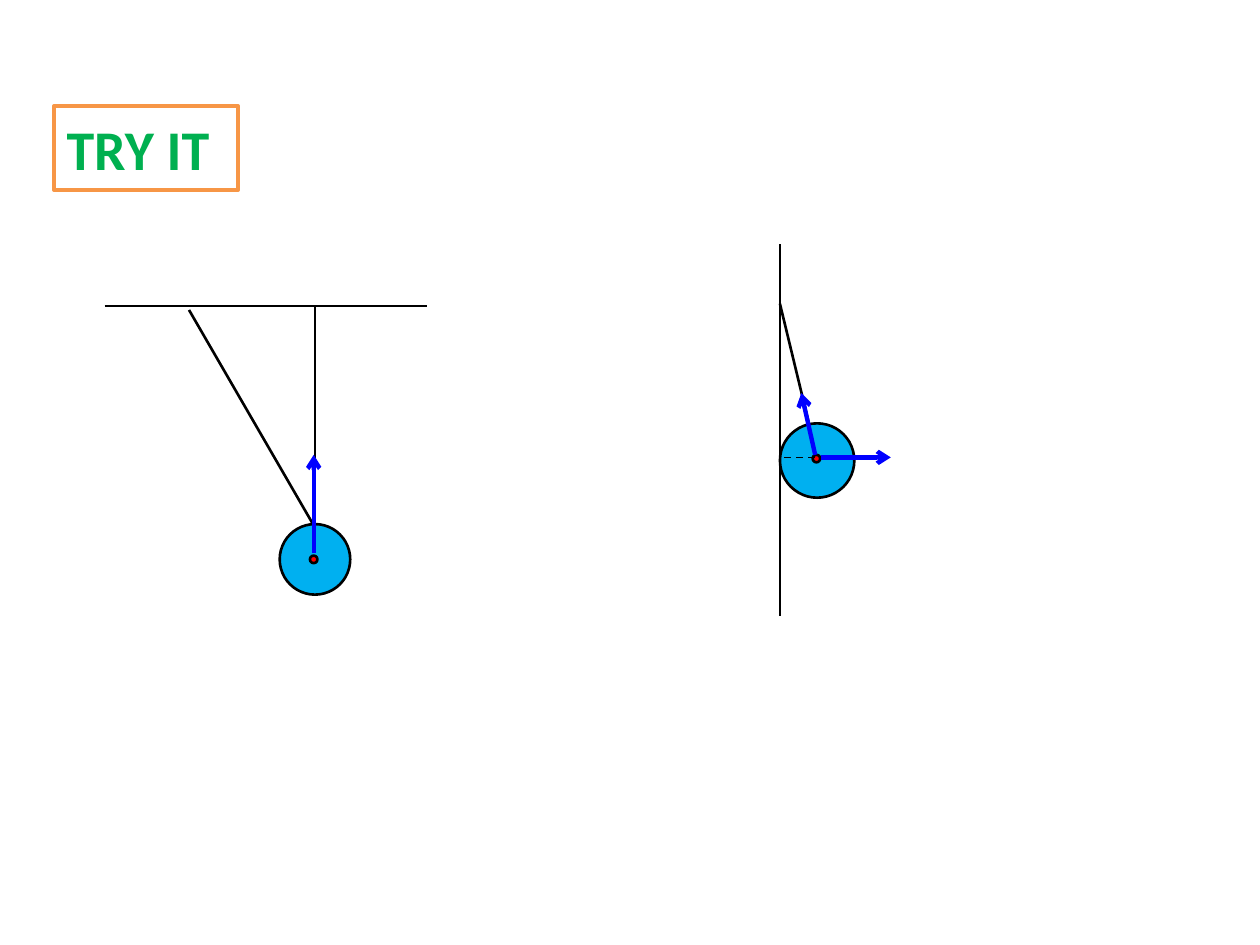
from lxml import etree
from pptx import Presentation
from pptx.dml.color import RGBColor
from pptx.enum.dml import MSO_LINE
from pptx.enum.shapes import MSO_CONNECTOR, MSO_SHAPE
from pptx.enum.text import MSO_ANCHOR, PP_ALIGN
from pptx.oxml.ns import qn
from pptx.util import Pt

PX = 9144  # EMU in one px, 100 px to the inch
STRAIGHT = MSO_CONNECTOR.STRAIGHT
OVAL, RECTANGLE = MSO_SHAPE.OVAL, MSO_SHAPE.RECTANGLE
DASH = MSO_LINE.DASH
LEFT, MIDDLE = PP_ALIGN.LEFT, MSO_ANCHOR.MIDDLE
COLORS = {
    "white": "FFFFFF",
    "outline": "000000",
    "ball": "00B0F0",
    "center": "FF0000",
    "force": "0000FF",
    "frame": "F79646",
    "title": "00B050",
}


class Sketch:
    """Holds the style and the current slide."""

    font = "Calibri"
    stroke = 1.5
    force_stroke = 2.5

    def __init__(self, page):
        self.page = page

    def color(self, name):
        return RGBColor.from_string(COLORS[name])

    def line(self, start, end, color="outline", width=stroke, dash=None):
        ends = [value * PX for value in (*start, *end)]
        line = self.page.shapes.add_connector(STRAIGHT, *ends)
        line.line.color.rgb = self.color(color)
        line.line.width = Pt(width)
        if dash:
            line.line.dash_style = dash
        etree.SubElement(line._element.spPr, qn("a:effectLst"))
        return line

    def force(self, start, end):
        arrow = self.line(start, end, "force", self.force_stroke)
        outline = arrow.line._get_or_add_ln()
        etree.SubElement(outline, qn("a:tailEnd"), type="arrow")

    def shape(self, kind, bounds, fill, color="outline", width=stroke):
        shape = self.page.shapes.add_shape(kind, *[value * PX for value in bounds])
        shape.shadow.inherit = False
        shape.fill.solid()
        shape.fill.fore_color.rgb = self.color(fill)
        shape.line.color.rgb = self.color(color)
        shape.line.width = Pt(width)
        return shape

    def circle(self, left, top, size, fill):
        self.shape(OVAL, (left, top, size, size), fill)

    def title(self, text, bounds):
        box = self.shape(RECTANGLE, bounds, "white", "frame", 2)
        frame = box.text_frame
        frame.word_wrap = True
        frame.vertical_anchor = MIDDLE
        para = frame.paragraphs[0]
        para.text = text
        para.alignment = LEFT
        para.font.name = self.font
        para.font.size = Pt(32)
        para.font.bold = True
        para.font.color.rgb = self.color("title")


def main():
    deck = Presentation()
    deck.slide_width, deck.slide_height = 1000 * PX, 750 * PX
    sketch = Sketch(deck.slides.add_slide(deck.slide_layouts[6]))

    # Ball resting against a wall
    sketch.line((619, 194), (619, 489))
    sketch.circle(619, 336, 59, "ball")
    sketch.line((619, 241), (642, 336))
    sketch.circle(645, 361, 6, "center")

    # Ball hanging from a ceiling
    sketch.line((83, 243), (339, 243))
    sketch.line((250, 243), (250, 432))
    sketch.line((249, 417), (150, 246))
    sketch.circle(222, 416, 56, "ball")
    sketch.circle(246, 441, 6, "center")

    # Forces on both balls
    sketch.force((249, 439), (249, 361))
    sketch.force((652, 363), (707, 363))
    sketch.line((647, 363), (619, 363), width=1, dash=DASH)

    # Title
    sketch.title("TRY IT", (43, 84, 146, 67))

    # Tension along the string at the wall
    sketch.force((647, 361), (636, 312))

    deck.save("out.pptx")


if __name__ == "__main__":
    main()
